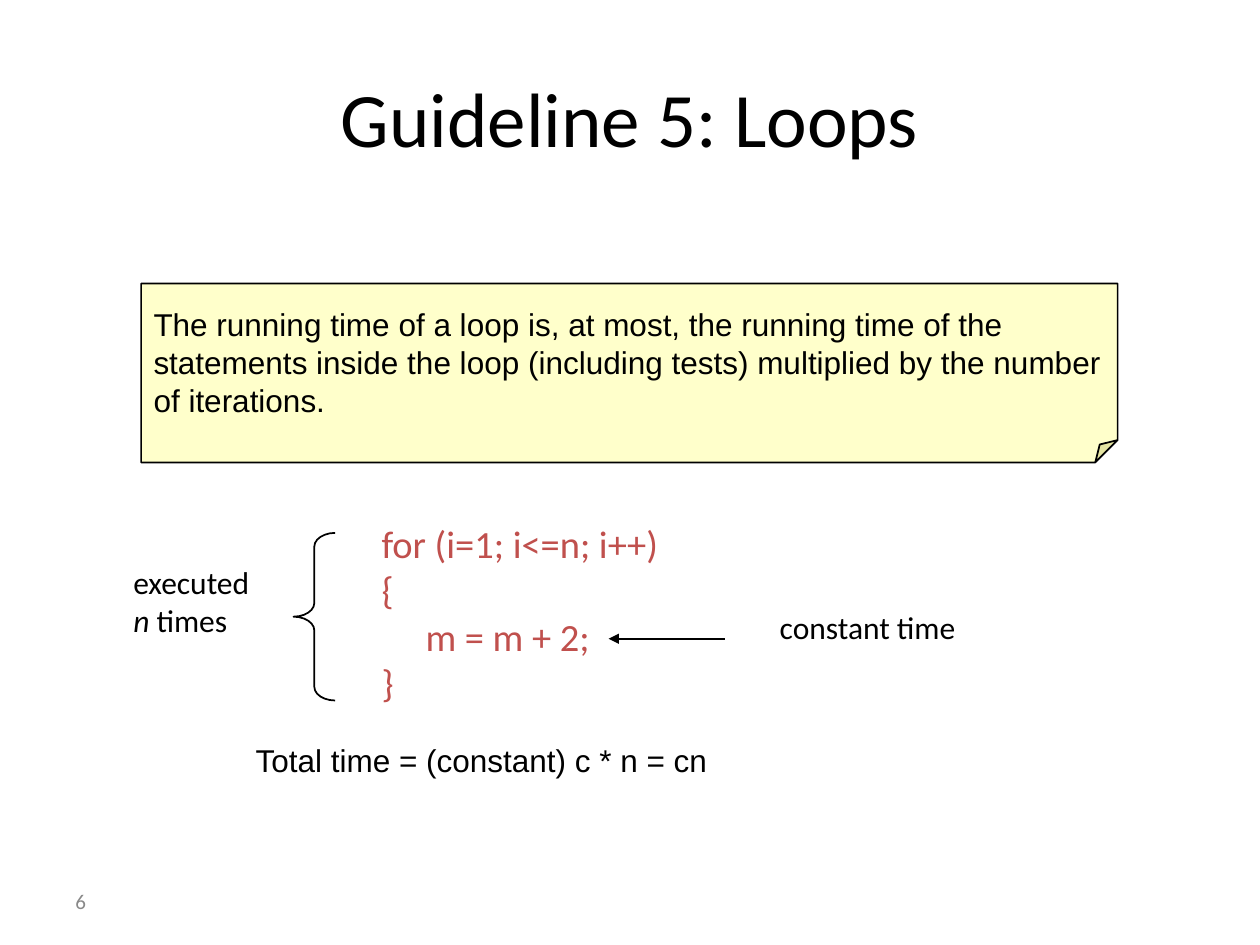
from lxml.etree import SubElement
from pptx import Presentation
from pptx.dml.color import RGBColor
from pptx.enum.shapes import MSO_CONNECTOR, MSO_SHAPE
from pptx.enum.text import MSO_ANCHOR, PP_ALIGN
from pptx.oxml.ns import qn
from pptx.util import Inches, Pt

COLORS = {"ink": "000000", "code": "C0504D", "note": "FFFF99", "number": "898989"}

RULE = ("The running time of a loop is, at most, the running time of the statements "
        "inside the loop (including tests) multiplied by the number of iterations.")
CODE = ["for (i=1; i<=n; i++)", "{", "m = m + 2;", "}"]
CODE_BODY = 2
BODY_INDENT = 0.35

# text lines, box (left, top, width, height), size, font, colour, wrap, anchor
TITLE = (["Guideline 5: Loops"], (0.5, 0.3, 9, 1.25), 44, "Calibri", "ink", True, MSO_ANCHOR.MIDDLE)
NUMBER = (["6"], (0.5, 6.95, 2.33, 0.4), 12, "Calibri", "number", True, MSO_ANCHOR.MIDDLE)
LOOP = (CODE, (2.93, 4.08, 2.4, 1.57), 22, "Calibri", "code", False, MSO_ANCHOR.TOP)
COST = (["constant time"], (6.09, 4.78, 1.6, 0.4), 18, "Calibri", "ink", False, MSO_ANCHOR.TOP)
COUNT = (["executed", "n times"], (0.96, 4.42, 1.13, 0.7), 18, "Calibri", "ink", False, MSO_ANCHOR.TOP)
TOTAL = (["Total time = (constant) c * n = cn"], (1.93, 5.83, 3.88, 0.4), 18, "Arial", "ink", False,
         MSO_ANCHOR.TOP)

NOTE_BOX = (1.12, 2.25, 7.75, 1.42)
BRACE_BOX = (2.33, 4.23, 0.33, 1.33)
ARROW = (5.75, 5.07, 4.83, 5.07)


def rgb(name):
    return RGBColor.from_string(COLORS[name])


def inches(values):
    return [Inches(v) for v in values]


def style_runs(tf, size, font, color):
    for p in tf.paragraphs:
        p.alignment = PP_ALIGN.LEFT
        for r in p.runs:
            r.font.size = Pt(size)
            r.font.name = font
            r.font.color.rgb = rgb(color)


def add_text(s, lines, box, size, font, color, wrap, anchor):
    tf = s.shapes.add_textbox(*inches(box)).text_frame
    tf.word_wrap = wrap
    tf.vertical_anchor = anchor
    tf.text = "\n".join(lines)
    style_runs(tf, size, font, color)
    return tf


def outline(sp):
    sp.line.color.rgb = rgb("ink")
    sp.line.width = Pt(1)


def add_outlined(s, kind, box):
    sp = s.shapes.add_shape(kind, *inches(box))
    sp.shadow.inherit = False
    outline(sp)
    return sp


def add_note(s):
    sp = add_outlined(s, MSO_SHAPE.FOLDED_CORNER, NOTE_BOX)
    guides = sp._element.spPr.find(qn("a:prstGeom")).get_or_add_avLst()
    SubElement(guides, qn("a:gd"), name="adj", fmla="val 12500")
    sp.fill.solid()
    sp.fill.fore_color.rgb = rgb("note")
    fill = sp._element.spPr.find(qn("a:solidFill"))
    SubElement(fill[0], qn("a:alpha"), val="50000")
    tf = sp.text_frame
    tf.word_wrap = True
    tf.vertical_anchor = MSO_ANCHOR.MIDDLE
    tf.text = RULE
    style_runs(tf, 18, "Arial", "ink")


def add_brace(s):
    sp = add_outlined(s, MSO_SHAPE.LEFT_BRACE, BRACE_BOX)
    sp.adjustments[0] = 0.33
    sp.fill.background()


def add_arrow(s):
    line = s.shapes.add_connector(MSO_CONNECTOR.STRAIGHT, *inches(ARROW))
    outline(line)
    SubElement(line._element.spPr.find(qn("a:ln")), qn("a:tailEnd"), type="triangle")
    SubElement(line._element.spPr, qn("a:effectLst"))


def add_count(s):
    tf = add_text(s, *COUNT)
    p = tf.paragraphs[1]
    p.text = "n"
    p.add_run().text = " times"
    style_runs(tf, 18, "Calibri", "ink")
    p.runs[0].font.italic = True


def main():
    prs = Presentation()
    prs.slide_width, prs.slide_height = Inches(10), Inches(7.5)
    s = prs.slides.add_slide(prs.slide_layouts[6])

    add_text(s, *NUMBER)
    add_text(s, *TITLE).paragraphs[0].alignment = PP_ALIGN.CENTER
    add_note(s)

    body = add_text(s, *LOOP).paragraphs[CODE_BODY]
    body._p.get_or_add_pPr().set("marL", str(Inches(BODY_INDENT)))
    add_text(s, *COST)
    add_arrow(s)
    add_count(s)
    add_brace(s)
    add_text(s, *TOTAL)
    prs.save("out.pptx")


if __name__ == "__main__":
    main()
